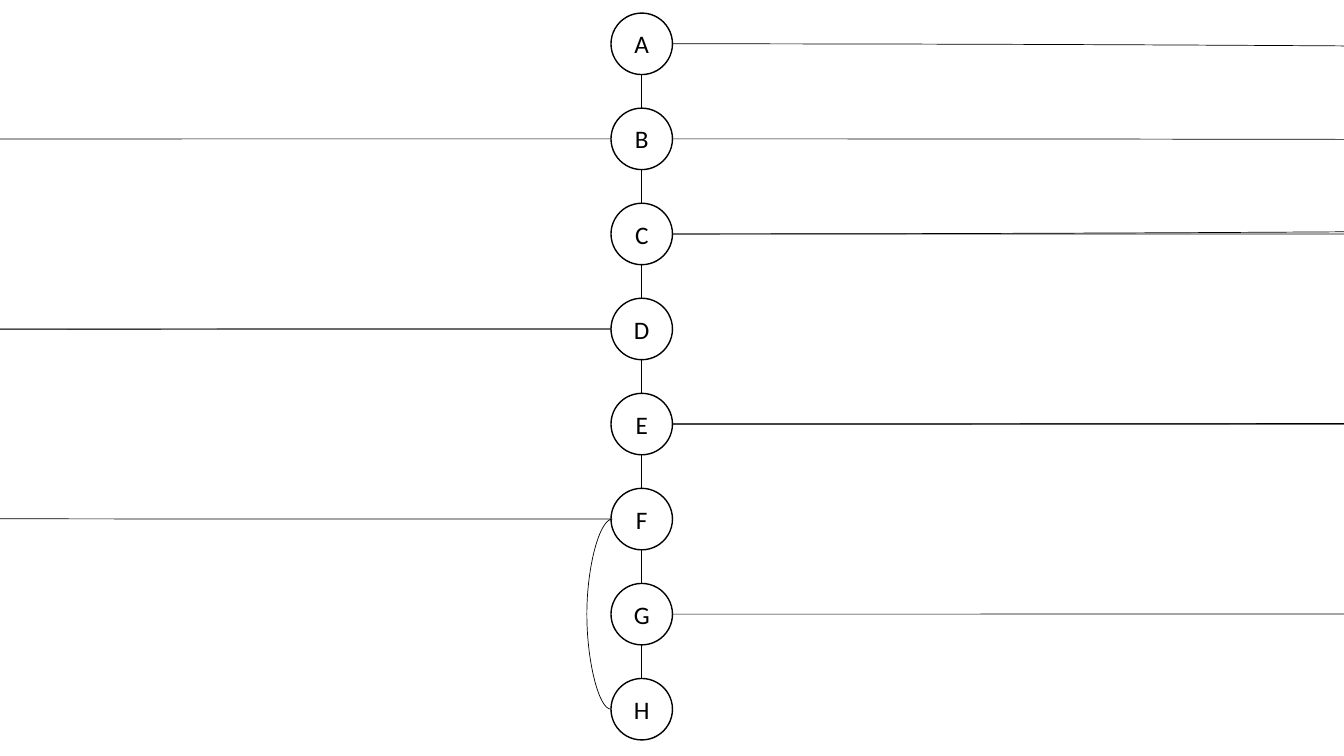
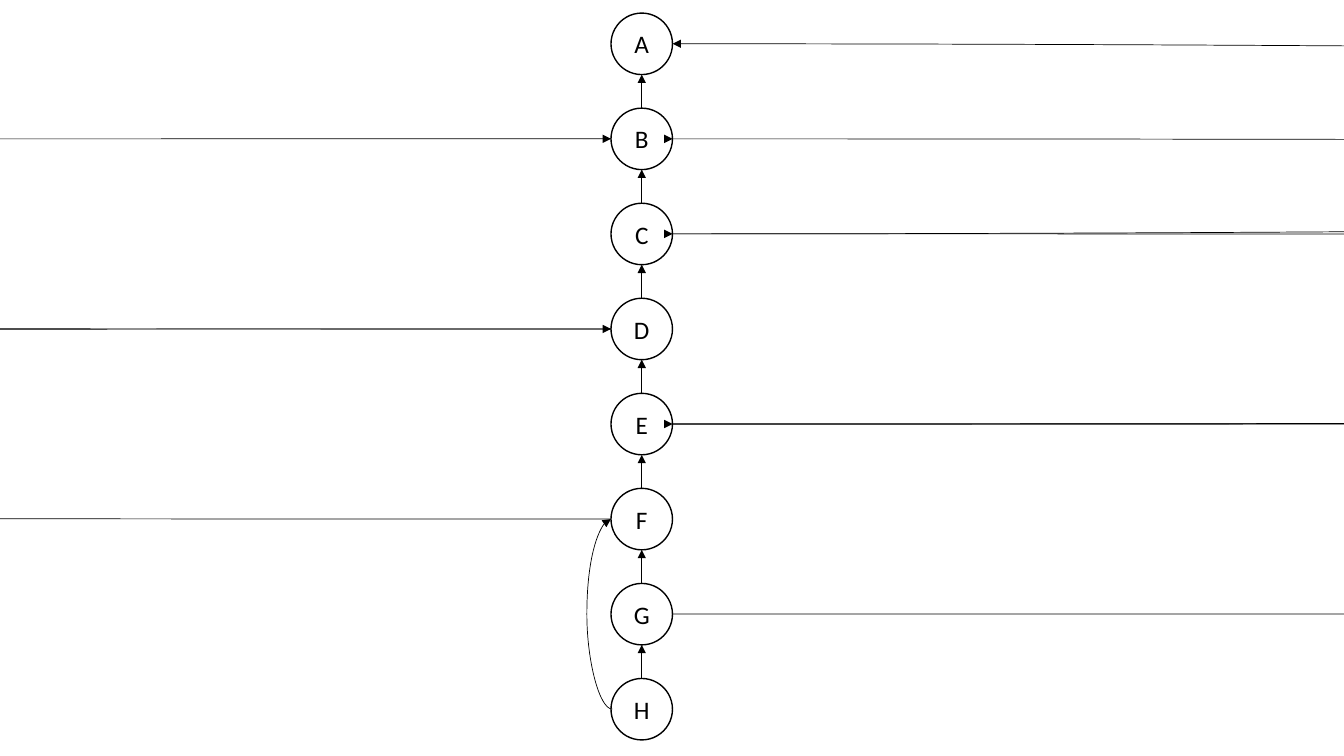
from lxml import etree
from pptx import Presentation
from pptx import util as u
from pptx.dml.color import RGBColor
from pptx.enum import shapes, text
from pptx.oxml.ns import qn

BLACK = RGBColor(0, 0, 0)
WHITE = RGBColor(255, 255, 255)
FONT = "Calibri"

# Node column
NODES = "ABCDEFGH"
SIZE = u.Inches(0.61)
LEFT = u.Inches(6.06)
RIGHT = LEFT + SIZE
MIDDLE = LEFT + SIZE // 2
TOPS = {name: u.Inches(0.13 + 0.943 * i) for i, name in enumerate(NODES)}

# Curves: upper node, lower node, side (1 right, -1 left), horizontal run.
# Runs of a few EMU with a fixed bulge give the very long horizontal sweeps.
BULGE = u.Inches(0.25)
CURVES = [
    ("A", "C", 1, u.Emu(5)),
    ("B", "D", -1, u.Emu(1)),
    ("C", "E", 1, u.Emu(1)),
    ("D", "F", -1, u.Emu(2)),
    ("E", "G", 1, u.Emu(1)),
    ("F", "H", -1, u.Inches(0.014)),
    ("B", "E", 1, u.Emu(2)),
]


def add_link(slide, kind, x1, y1, x2, y2, arrow):
    link = slide.shapes.add_connector(kind, x1, y1, x2, y2)
    link.line.color.rgb = BLACK
    link.line.width = u.Pt(0.5)
    if arrow:
        etree.SubElement(link.line._get_or_add_ln(), qn("a:tailEnd"), type="triangle")
    etree.SubElement(link._element.spPr, qn("a:effectLst"))
    return link


prs = Presentation()
prs.slide_width, prs.slide_height = u.Inches(13.33), u.Inches(7.5)

# First slide: plain links downwards; second slide: arrows upwards
for upwards in (False, True):
    s = prs.slides.add_slide(prs.slide_layouts[6])

    # Nodes
    for name, top in TOPS.items():
        sp = s.shapes.add_shape(shapes.MSO_SHAPE.OVAL, LEFT, top, SIZE, SIZE)
        sp.shadow.inherit = False
        sp.fill.solid()
        sp.fill.fore_color.rgb = WHITE
        sp.line.color.rgb = BLACK
        sp.line.width = u.Pt(1)
        tf = sp.text_frame
        tf.vertical_anchor = text.MSO_ANCHOR.MIDDLE
        p = tf.paragraphs[0]
        p.text = name
        p.alignment = text.PP_ALIGN.CENTER
        p.font.name, p.font.size = FONT, u.Pt(18)
        p.font.color.rgb = BLACK

    # Straight links between neighbours
    for upper, lower in zip(NODES, NODES[1:]):
        ends = [TOPS[upper] + SIZE, TOPS[lower]]
        if upwards:
            ends.reverse()
        add_link(s, shapes.MSO_CONNECTOR.STRAIGHT, MIDDLE, ends[0], MIDDLE, ends[1], upwards)

    # Curved links between distant nodes
    for upper, lower, side, run in CURVES:
        x = RIGHT if side > 0 else LEFT
        ends = [TOPS[upper] + SIZE // 2, TOPS[lower] + SIZE // 2]
        x1, x2 = x + run, x
        if upwards:
            ends.reverse()
            if (upper, lower) != ("F", "H"):
                x1, x2 = x2, x1
        curve = add_link(s, shapes.MSO_CONNECTOR.CURVE, x1, ends[0], x2, ends[1], upwards)
        geometry = curve._element.spPr.find(qn("a:prstGeom"))
        bend = round(100000 * side * BULGE / (x2 - x1))
        etree.SubElement(geometry.find(qn("a:avLst")), qn("a:gd"), name="adj1", fmla=f"val {bend}")

prs.save("out.pptx")
